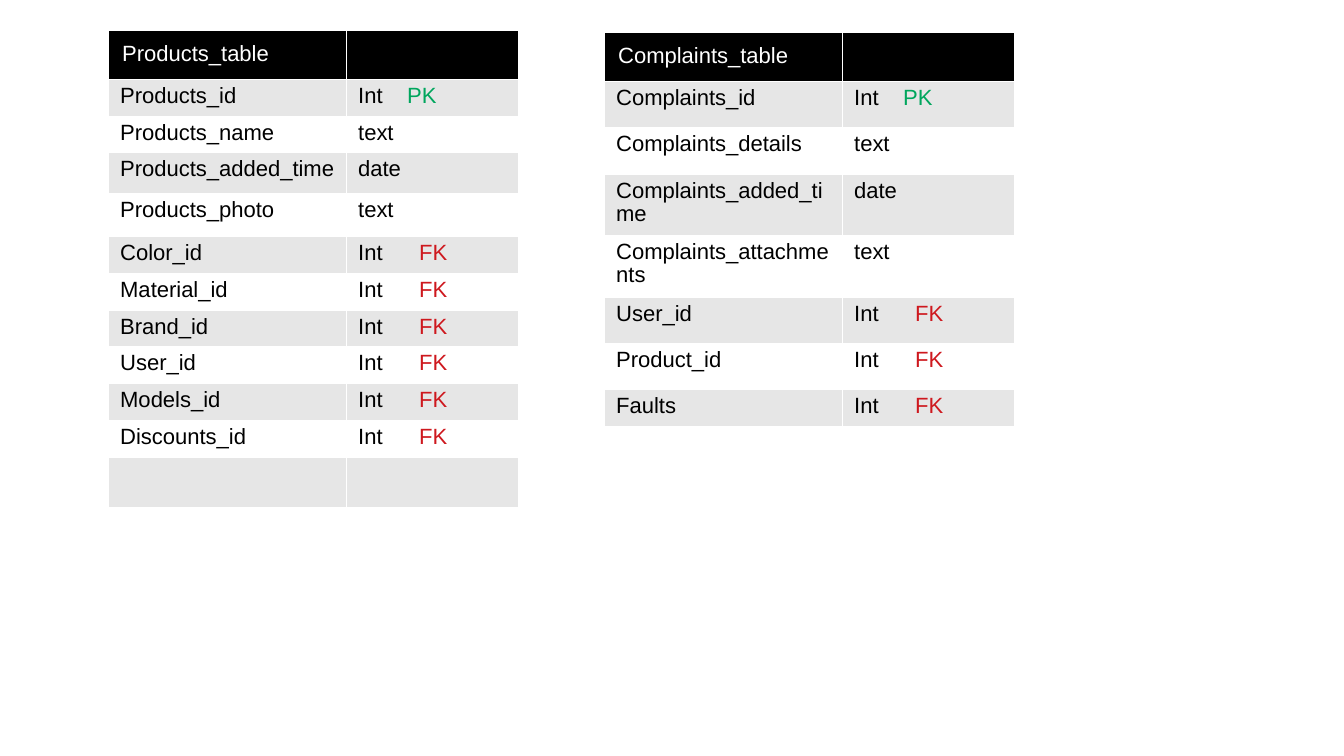
import pptx
import pptx.util
import pptx.dml.color
import pptx.enum.text
import pptx.oxml
import pptx.oxml.ns
import lxml.etree

COLORS = {"header": "000000", "band": "E6E6E6", "plain": "FFFFFF",
          "border": "FFFFFF", "text": "000000", "header_text": "FFFFFF",
          "PK": "00A65D", "FK": "CE181E"}
KEY_TAB = {"PK": 49, "FK": 61}
COLUMNS = (238, 172)
BORDER_EMU = 762

# Each row: field name, data type, key kind, height
PRODUCTS = [
    ("Products_id", "Int", "PK", 37),
    ("Products_name", "text", "", 36),
    ("Products_added_time", "date", "", 41),
    ("Products_photo", "text", "", 43),
    ("Color_id", "Int", "FK", 37),
    ("Material_id", "Int", "FK", 37),
    ("Brand_id", "Int", "FK", 36),
    ("User_id", "Int", "FK", 37),
    ("Models_id", "Int", "FK", 37),
    ("Discounts_id", "Int", "FK", 37),
    ("", "", "", 48),
]
COMPLAINTS = [
    ("Complaints_id", "Int", "PK", 46),
    ("Complaints_details", "text", "", 47),
    ("Complaints_added_time", "date", "", 61),
    ("Complaints_attachments", "text", "", 62),
    ("User_id", "Int", "FK", 46),
    ("Product_id", "Int", "FK", 46),
    ("Faults", "Int", "FK", 37),
]


def px(n):
    return pptx.util.Emu(round(n * 914400 / 122))


def rgb(name):
    return pptx.dml.color.RGBColor.from_string(COLORS[name])


def add_text(p, text, color="text", size=13, font="Arial"):
    r = p.add_run()
    r.text = text
    r.font.size = pptx.util.Pt(size)
    r.font.name = font
    r.font.bold = False
    r.font.color.rgb = rgb(color)


def set_tab(p, position):
    pPr = p._p.get_or_add_pPr()
    tabs = lxml.etree.SubElement(pPr, pptx.oxml.ns.qn("a:tabLst"))
    tab = lxml.etree.SubElement(tabs, pptx.oxml.ns.qn("a:tab"))
    tab.set("pos", str(px(position)))
    tab.set("algn", "l")


def style_cell(cell, fill):
    # Borders come before the fill in the cell properties
    tcPr = cell._tc.get_or_add_tcPr()
    for side in ("lnL", "lnR", "lnT", "lnB"):
        tcPr.append(pptx.oxml.parse_xml(
            f'<a:{side} {pptx.oxml.ns.nsdecls("a")} w="{BORDER_EMU}"><a:solidFill>'
            f'<a:srgbClr val="{COLORS["border"]}"/></a:solidFill></a:{side}>'))
    cell.fill.solid()
    cell.fill.fore_color.rgb = rgb(fill)


def add_schema_table(s, left, top, title, fields):
    heights = [49] + [field[-1] for field in fields]
    frame = s.shapes.add_table(len(heights), len(COLUMNS), px(left), px(top),
                               px(sum(COLUMNS)), px(sum(heights)))
    table = frame.table
    table.horz_banding = False
    for column, width in zip(table.columns, COLUMNS):
        column.width = px(width)

    # Row heights, fills and borders
    for i, (row, height) in enumerate(zip(table.rows, heights)):
        row.height = px(height)
        fill = "header" if i == 0 else "band" if i % 2 else "plain"
        for cell in row.cells:
            style_cell(cell, fill)
            cell.text_frame.paragraphs[0].line_spacing = 0.93

    # Header
    head = table.cell(0, 0)
    head.vertical_anchor = pptx.enum.text.MSO_ANCHOR.MIDDLE
    p = head.text_frame.paragraphs[0]
    p._p.get_or_add_pPr().set("marL", str(px(2)))
    add_text(p, title, color="header_text")

    # Fields
    for i, (name, kind, key, _) in enumerate(fields, 1):
        if not name:
            continue
        add_text(table.cell(i, 0).text_frame.paragraphs[0], name)
        p = table.cell(i, 1).text_frame.paragraphs[0]
        if key:
            set_tab(p, KEY_TAB[key])
            add_text(p, kind + "\t")
            add_text(p, key, color=key)
        else:
            add_text(p, kind)


def main():
    prs = pptx.Presentation()
    prs.slide_width, prs.slide_height = px(1344), px(756)
    s = prs.slides.add_slide(prs.slide_layouts[6])
    add_schema_table(s, 108, 30, "Products_table", PRODUCTS)
    add_schema_table(s, 604, 32, "Complaints_table", COMPLAINTS)
    prs.save("out.pptx")


if __name__ == "__main__":
    main()
